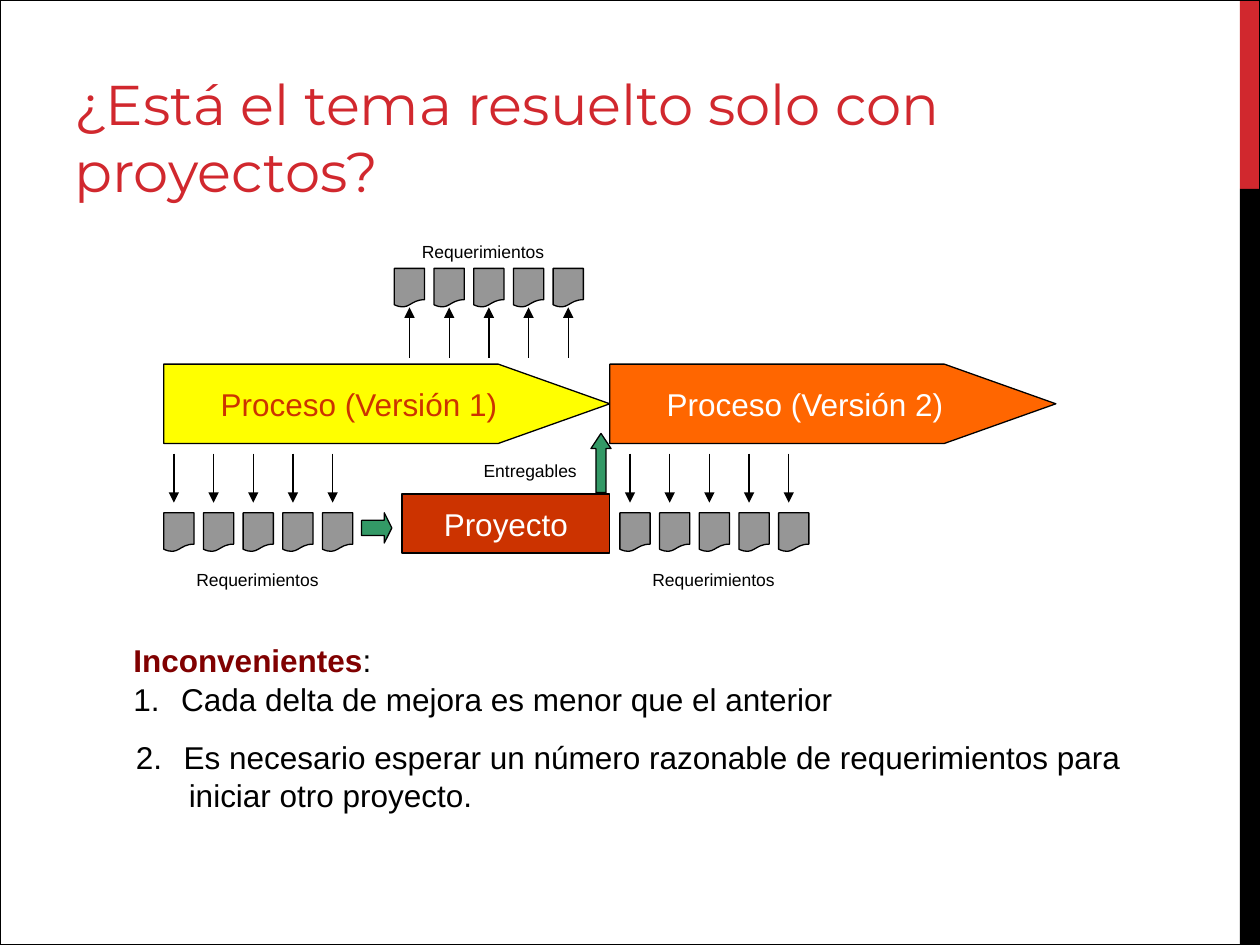
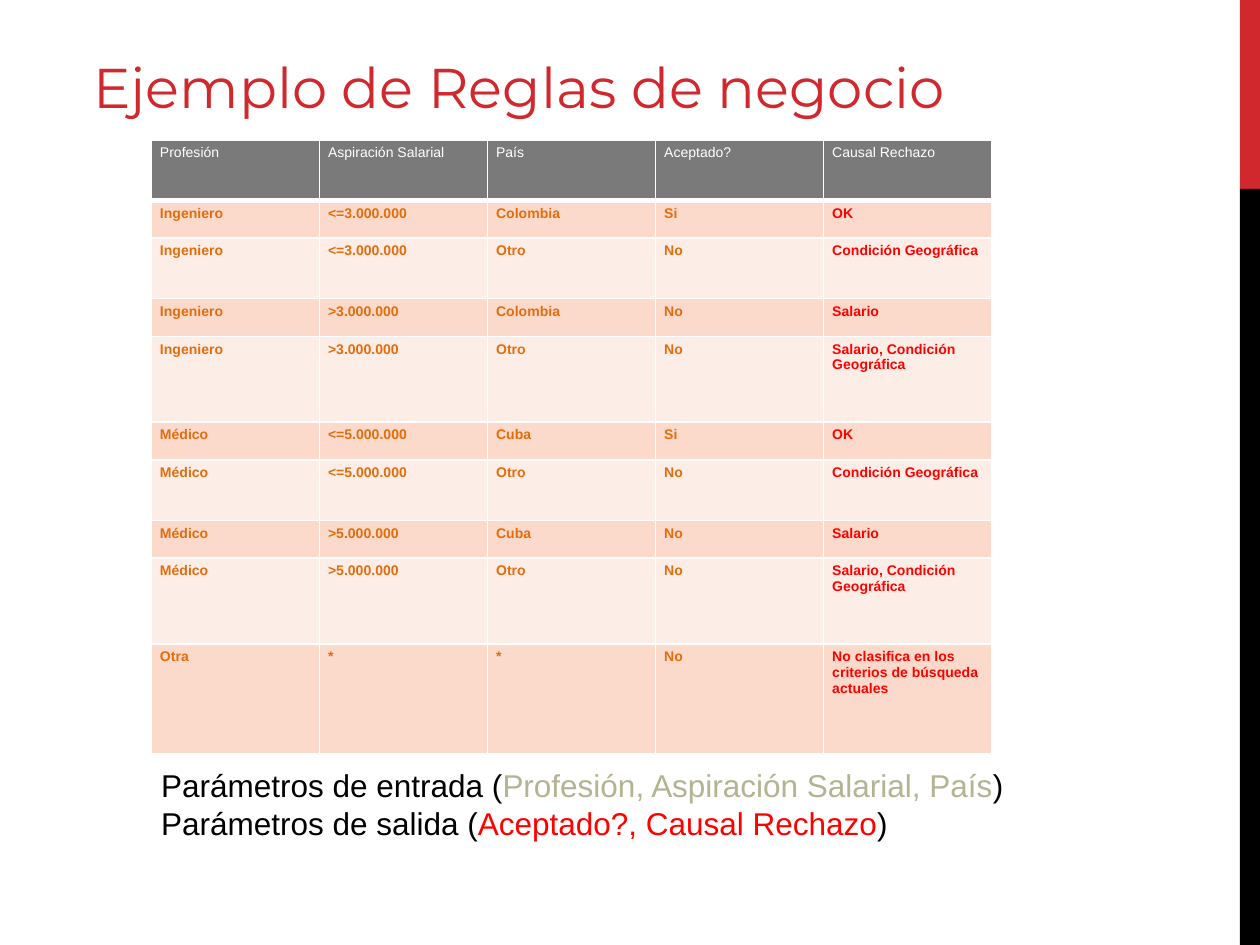
from lxml import etree
from pptx import Presentation
from pptx.dml.color import RGBColor
from pptx.enum.shapes import MSO_CONNECTOR as Connector, MSO_SHAPE as Preset
from pptx.enum.text import MSO_ANCHOR as Anchor, MSO_AUTO_SIZE as AutoSize, PP_ALIGN as Align
from pptx.oxml.ns import qn
from pptx.util import Inches, Pt

BLACK = RGBColor(0x00, 0x00, 0x00)
WHITE = RGBColor(0xFF, 0xFF, 0xFF)
RED = RGBColor(0xD1, 0x28, 0x2E)
BRIGHT_RED = RGBColor(0xFF, 0x00, 0x00)
BRICK = RGBColor(0xCC, 0x33, 0x00)
MAROON = RGBColor(0x80, 0x00, 0x00)
YELLOW = RGBColor(0xFF, 0xFF, 0x00)
ORANGE = RGBColor(0xFF, 0x66, 0x00)
GREEN = RGBColor(0x33, 0x99, 0x66)
DOCUMENT_GRAY = RGBColor(0x96, 0x96, 0x96)
HEADER_GRAY = RGBColor(0x7A, 0x7A, 0x7A)
RULE_ORANGE = RGBColor(0xE4, 0x6C, 0x0A)
OLIVE = RGBColor(0xB4, 0xB3, 0x92)
BAND_DARK = RGBColor(0xFB, 0xDA, 0xCC)
BAND_LIGHT = RGBColor(0xFD, 0xED, 0xE7)

WIDTH, HEIGHT = 10, 7.5
DOCUMENT_COUNT = 5
DOCUMENT_WIDTH, DOCUMENT_HEIGHT = 0.24, 0.31
DOCUMENT_PITCH = 1.26 / (DOCUMENT_COUNT - 1)

RULE_HEADER = ["Profesión", "Aspiración Salarial", "País", "Aceptado?", "Causal Rechazo"]
RULES = [
    ["Ingeniero", "<=3.000.000", "Colombia", "Si", "OK"],
    ["Ingeniero", "<=3.000.000", "Otro", "No", "Condición Geográfica"],
    ["Ingeniero", ">3.000.000", "Colombia", "No", "Salario"],
    ["Ingeniero", ">3.000.000", "Otro", "No", "Salario, Condición Geográfica"],
    ["Médico", "<=5.000.000", "Cuba", "Si", "OK"],
    ["Médico", "<=5.000.000", "Otro", "No", "Condición Geográfica"],
    ["Médico", ">5.000.000", "Cuba", "No", "Salario"],
    ["Médico", ">5.000.000", "Otro", "No", "Salario, Condición Geográfica"],
    ["Otra", "*", "*", "No", "No clasifica en los criterios de búsqueda actuales"],
]
ROW_HEIGHTS = [0.48, 0.3, 0.48, 0.3, 0.68, 0.3, 0.48, 0.3, 0.68, 0.87]


def inches(*lengths):
    return [Inches(length) for length in lengths]


def write_text(paragraph, text, size=18, color=BLACK, font="Arial", bold=False,
               align=None, number=None, margin=0, indent=0, space_after=0):
    properties = paragraph._p.get_or_add_pPr()
    if margin:
        properties.set("marL", str(Inches(margin)))
        properties.set("indent", str(Inches(indent)))
    paragraph.alignment = align
    paragraph.space_after = Pt(space_after)
    if number:
        numbering = etree.SubElement(properties, qn("a:buAutoNum"), type="arabicPeriod")
        numbering.set("startAt", str(number))
    runs = [(text, color, bold)] if isinstance(text, str) else text
    for content, run_color, run_bold in runs:
        run = paragraph.add_run()
        run.text = content
        run.font.name = font
        run.font.size = Pt(size)
        run.font.bold = run_bold
        run.font.color.rgb = run_color


def add_text(shapes, box, text, wrap=False, anchor=Anchor.TOP, **style):
    frame = shapes.add_textbox(*inches(*box)).text_frame
    frame.word_wrap = wrap
    frame.auto_size = AutoSize.NONE if wrap else AutoSize.SHAPE_TO_FIT_TEXT
    frame.vertical_anchor = anchor
    write_text(frame.paragraphs[0], text, **style)
    return frame


def add_block(shapes, preset, box, fill=None, line=BLACK, adjustments=(), text=None, color=WHITE):
    shape = shapes.add_shape(preset, *inches(*box))
    shape.shadow.inherit = False
    for index, value in enumerate(adjustments):
        shape.adjustments[index] = value
    if fill is None:
        shape.fill.background()
    else:
        shape.fill.solid()
        shape.fill.fore_color.rgb = fill
    if line is None:
        shape.line.fill.background()
    else:
        shape.line.color.rgb = line
        shape.line.width = Pt(0.75)
    if text:
        frame = shape.text_frame
        frame.word_wrap = False
        frame.vertical_anchor = Anchor.MIDDLE
        write_text(frame.paragraphs[0], text, color=color, align=Align.CENTER)
    return shape


def add_arrow(shapes, x, start, end):
    connector = shapes.add_connector(Connector.STRAIGHT, *inches(x, start, x, end))
    connector.line.color.rgb = BLACK
    connector.line.width = Pt(0.75)
    etree.SubElement(connector.line._get_or_add_ln(), qn("a:tailEnd"), type="triangle")
    etree.SubElement(connector._element.spPr, qn("a:effectLst"))


def add_titled_slide(presentation, title, box):
    slide = presentation.slides.add_slide(presentation.slide_layouts[6])
    for top, height, color in [(0, 1.5, RED), (1.5, 6, BLACK)]:
        add_block(slide.shapes, Preset.RECTANGLE, (9.84, top, 0.16, height), color, None)
    add_text(slide.shapes, box, title, wrap=True, anchor=Anchor.BOTTOM,
             size=32, color=RED, font="Montserrat")
    return slide


def add_requirements(slide, left, top, label_offset, arrow_offset, arrow_start, arrow_end):
    shapes = slide.shapes.add_group_shape().shapes
    label_left, label_top = label_offset
    add_text(shapes, (left + label_left, top + label_top, 1.17, 0.27), "Requerimientos", size=10)
    for index in range(DOCUMENT_COUNT):
        x = left + index * DOCUMENT_PITCH
        add_block(shapes, Preset.FLOWCHART_DOCUMENT,
                  (x, top, DOCUMENT_WIDTH, DOCUMENT_HEIGHT), DOCUMENT_GRAY)
        add_arrow(shapes, x + arrow_offset, top + arrow_start, top + arrow_end)


def add_process_diagram(slide, left, top):
    shapes = slide.shapes
    process_width, process_height = 3.54, 0.63
    process_top = top + 0.76
    documents_top = top + 1.94
    next_left = left + process_width
    for x, text, fill, color in [(left, "Proceso (Versión 1)", YELLOW, BRICK),
                                 (next_left, "Proceso (Versión 2)", ORANGE, WHITE)]:
        add_block(shapes, Preset.PENTAGON, (x, process_top, process_width, process_height),
                  fill, adjustments=[1.406], text=text, color=color)
    add_block(shapes, Preset.RECTANGLE, (next_left - 1.65, top + 1.79, 1.65, 0.47),
              BRICK, text="Proyecto")
    add_block(shapes, Preset.RIGHT_ARROW, (left + 1.57, documents_top, 0.24, 0.24),
              GREEN, adjustments=[0.5, 0.25])
    add_block(shapes, Preset.UP_ARROW, (next_left - 0.15, top + 1.31, 0.16, 0.47),
              GREEN, adjustments=[0.5, 0.756])
    add_text(shapes, (next_left - 1.1, top + 1.47, 0.94, 0.27), "Entregables", size=10)
    add_requirements(slide, left + 1.83, top, (0.12, -0.27), DOCUMENT_WIDTH / 2,
                     0.71, DOCUMENT_HEIGHT)
    for x in (left, next_left + 0.08):
        add_requirements(slide, x, documents_top, (0.16, 0.4), 0.08, -0.47, -0.08)


def add_drawbacks(slide, left, top):
    shapes = slide.shapes
    add_text(shapes, (left, top, 2.09, 0.4),
             [("Inconvenientes", MAROON, True), (":", BLACK, False)])
    add_text(shapes, (left, top + 0.31, 5.9, 0.4),
             "Cada delta de mejora es menor que el anterior", wrap=True,
             number=1, margin=0.38, indent=-0.38)
    frame = add_text(shapes, (left + 0.02, top + 0.77, 8.2, 0.7),
                     "Es necesario esperar un número razonable de requerimientos para",
                     wrap=True, number=2, margin=0.38, indent=-0.38)
    write_text(frame.add_paragraph(), "iniciar otro proyecto.", margin=0.42)


def add_cell_borders(cell, **widths):
    properties = cell._tc.get_or_add_tcPr()
    for side in "LRTB":
        border = etree.SubElement(properties, qn(f"a:ln{side}"), w=str(Pt(widths.get(side, 1))))
        fill = etree.SubElement(border, qn("a:solidFill"))
        etree.SubElement(fill, qn("a:srgbClr"), val=str(WHITE))


def format_cell(cell, text, row, column):
    cell.margin_left = cell.margin_right = Inches(0.07)
    cell.margin_top = cell.margin_bottom = Inches(0.04)
    add_cell_borders(cell, **{0: {"B": 3}, 1: {"T": 3}}.get(row, {}))
    cell.fill.solid()
    if row == 0:
        fill, color = HEADER_GRAY, WHITE
    else:
        fill = BAND_DARK if row % 2 else BAND_LIGHT
        color = BRIGHT_RED if column == len(RULE_HEADER) - 1 else RULE_ORANGE
    cell.fill.fore_color.rgb = fill
    write_text(cell.text_frame.paragraphs[0], text, size=8, color=color,
               bold=row > 0, space_after=6)


def add_rules_table(slide, left, top, width):
    rows = [RULE_HEADER] + RULES
    table = slide.shapes.add_table(len(rows), len(RULE_HEADER),
                                   *inches(left, top, width, sum(ROW_HEIGHTS))).table
    for column in table.columns:
        column.width = Inches(width / len(RULE_HEADER))
    for row, (texts, height) in enumerate(zip(rows, ROW_HEIGHTS)):
        table.rows[row].height = Inches(height)
        for column, text in enumerate(texts):
            format_cell(table.cell(row, column), text, row, column)


def add_parameters(slide, box):
    inputs, outputs = [
        [(f"Parámetros de {kind} (", BLACK, False), (names, color, False), (")", BLACK, False)]
        for kind, names, color in [("entrada", ", ".join(RULE_HEADER[:3]), OLIVE),
                                   ("salida", ", ".join(RULE_HEADER[3:]), BRIGHT_RED)]
    ]
    frame = add_text(slide.shapes, box, inputs)
    write_text(frame.add_paragraph(), outputs)


def build_projects_slide(presentation):
    slide = add_titled_slide(presentation, "¿Está el tema resuelto solo con proyectos?",
                             (0.49, 0.17, 8.28, 1.5))
    add_block(slide.shapes, Preset.RECTANGLE, (0, 0, WIDTH, HEIGHT))
    add_process_diagram(slide, 1.3, 2.13)
    add_drawbacks(slide, 0.96, 5.04)


def build_rules_slide(presentation):
    slide = add_titled_slide(presentation, "Ejemplo de Reglas de negocio",
                             (0.64, 0.25, 9.19, 0.75))
    add_rules_table(slide, 1.2, 1.11, 6.67)
    add_parameters(slide, (1.18, 6.03, 6.95, 0.71))


def main():
    presentation = Presentation()
    presentation.slide_width, presentation.slide_height = inches(WIDTH, HEIGHT)
    build_projects_slide(presentation)
    build_rules_slide(presentation)
    presentation.save("out.pptx")


if __name__ == "__main__":
    main()
